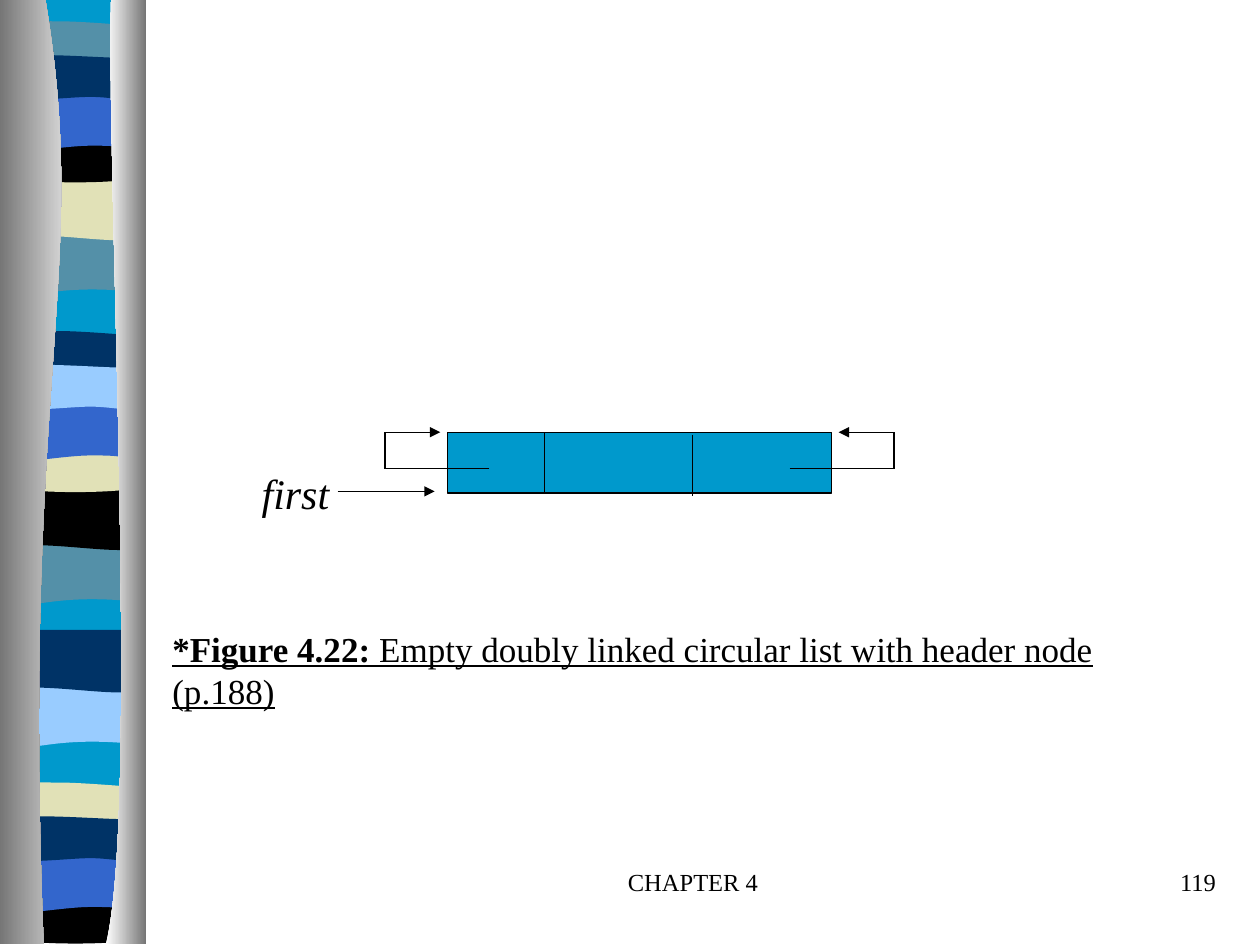
from dataclasses import dataclass

from lxml.etree import SubElement
from pptx import Presentation
from pptx.dml.color import RGBColor
from pptx.enum.shapes import MSO_CONNECTOR, MSO_SHAPE
from pptx.enum.text import PP_ALIGN
from pptx.oxml.ns import qn
from pptx.util import Pt


@dataclass(frozen=True)
class Theme:
    font: str = "Times New Roman"
    ink: str = "000000"
    teal: str = "0099CC"
    dusk: str = "5490A8"
    cream: str = "E1E1B7"
    blue: str = "3366CC"
    navy: str = "003366"
    sky: str = "99CCFF"
    dark: str = "767676"
    white: str = "FFFFFF"
    foot: int = 14
    body: int = 20
    label: int = 24
    rule: float = 0.75


T = Theme()
WIDE = 78  # width of a band

# Band outlines from the top right corner: pairs are lines, sixes are curves.
WAVES = {
    "swell": [(WIDE, 0), (WIDE, 34), (25, 28, 14, 39.6, 0, 34), (0, 0)],
    "dip": [(WIDE, 0), (WIDE, 34), (65, 39.6, 25, 30, 0, 34), (0, 0)],
    "arch": [(WIDE, 0), (WIDE, 17.3), (65, 20.5, 14, 20.5, 0, 17.3), (0, 0),
             (5, -3.6, 17, -2.9, 30, -2.9), (43, -2.9, 68, -0.7, WIDE, 0)],
    "sag": [(WIDE, 0), (WIDE, 23.3), (65, 27.4, 14, 27.4, 0, 23.3), (0, 0),
            (48, 3.6, 62, 0, WIDE, 0)],
    "hump": [(WIDE, 0), (WIDE, 34), (66, 30, 61, 30, 48, 30),
             (35, 30, 12, 34, 0, 34), (0, 0)],
    "ripple": [(WIDE, 0), (WIDE, 22.3), (73.5, 26, 61, 22.3, 48, 22.3),
               (35, 22.3, 9, 26, 0, 22.3), (0, 0),
               (11.5, -3.6, 53, 0, 66, 0), (79, 0, 76, 0, WIDE, 0)],
}
# Each wave, in drawing order, with its offset inside a block
TOPS = {"swell": 133.2, "dip": 101.5, "arch": 15.1,
        "sag": 77.8, "hump": 53.3, "ripple": 33.1}
# Each block: start of its two low waves, start of the rest, colours
BLOCKS = [
    (0, 0, (T.dusk, T.cream, T.dusk, T.ink, T.blue, T.navy)),
    (177, 177, (T.dusk, T.ink, T.navy, T.cream, T.blue, T.sky)),
    (258.4, 435, (T.sky, T.navy, T.cream, T.ink, T.blue, T.navy)),
]


def color(code):
    return RGBColor.from_string(code)


def bend(shape, path):
    """Join each three segments that stand for a curve into one cubic curve."""
    segs = iter(list(shape._element.iter(qn("a:lnTo"))))
    for part in path[1:]:
        first = next(segs)
        if len(part) == 6:
            first.tag = qn("a:cubicBezTo")
            for _ in range(2):
                seg = next(segs)
                first.append(seg[0])
                seg.getparent().remove(seg)


def outline(slide, path, fill, left=0, top=0):
    """Draw a filled outline; a pair of colours makes a gradient to the right."""
    points = [(Pt(left + part[i]), Pt(top + part[i + 1]))
              for part in path for i in range(0, len(part), 2)]
    pen = slide.shapes.build_freeform(*points[0], scale=1.0)
    pen.add_line_segments(points[1:], close=True)
    shape = pen.convert_to_shape()
    bend(shape, path)
    shape.shadow.inherit = False
    shape.line.fill.background()
    if isinstance(fill, str):
        shape.fill.solid()
        shape.fill.fore_color.rgb = color(fill)
    else:
        shape.fill.gradient()
        shape.fill.gradient_angle = 0
        for stop, code, place in zip(shape.fill.gradient_stops, fill, (0, 1)):
            stop.color.rgb = color(code)
            stop.position = place


def text(slide, box, *parts, size=T.body, align=PP_ALIGN.LEFT, **style):
    """Add one paragraph; a part is a string or a string with its own format."""
    frame = slide.shapes.add_textbox(*map(Pt, box)).text_frame
    frame.word_wrap = True
    para = frame.paragraphs[0]
    para.alignment = align
    for part in parts:
        words, extra = (part, {}) if isinstance(part, str) else part
        run = para.add_run()
        run.text = words
        run.font.name = T.font
        run.font.size = Pt(size)
        run.font.color.rgb = color(T.ink)
        for key, value in {**style, **extra}.items():
            setattr(run.font, key, value)


def line(slide, start, end, arrow=False):
    link = slide.shapes.add_connector(
        MSO_CONNECTOR.STRAIGHT, *map(Pt, (*start, *end)))
    link.line.color.rgb = color(T.ink)
    link.line.width = Pt(T.rule)
    if arrow:
        SubElement(link.line._get_or_add_ln(), qn("a:tailEnd"), type="triangle")
    SubElement(link._element.spPr, qn("a:effectLst"))


def border(slide, box):
    """Striped band between two curtains."""
    left, top, width, height = box
    edge = left + 3.7
    outline(slide, [(WIDE, 0), (WIDE, height - 1), (0, height - 1), (0, 0)],
            T.teal, edge, top)
    for low, rest, fills in BLOCKS:
        for (name, y), fill in zip(TOPS.items(), fills):
            start = low if name in ("swell", "dip") else rest
            outline(slide, WAVES[name], fill, edge, top + start + y)
    outline(slide, [(26, 0), (52, 156, 12, 213, 25, height), (0, height), (0, 0)],
            (T.dark, T.white), left, top)
    outline(slide, [(63.5, 0), (60.5, 90, 80, 465, 60.5, height),
                    (width, height), (width, 0)],
            (T.white, T.dark), left, top)


def loop(slide, edge, top, out):
    """Link from inside a node, around its edge and back; out is -1 or 1."""
    inner, outer, tip = (edge + out * step for step in (-24, 35.6, 4))
    mid = top + 20.8
    line(slide, (inner, mid), (outer, mid))
    line(slide, (outer, mid), (outer, top))
    line(slide, (outer, top), (tip, top), arrow=True)


def node(slide, box):
    """Header node with three fields, its two loops and the first pointer."""
    left, top, width, height = box
    rect = slide.shapes.add_shape(MSO_SHAPE.RECTANGLE, *map(Pt, box))
    rect.shadow.inherit = False
    rect.fill.solid()
    rect.fill.fore_color.rgb = color(T.teal)
    rect.line.color.rgb = color(T.ink)
    rect.line.width = Pt(T.rule)
    for x, drop in ((55.4, 0), (140.2, 1.4)):
        line(slide, (left + x, top + drop), (left + x, top + drop + height))
    loop(slide, left + width, top, 1)
    loop(slide, left, top, -1)
    base = top + height - 1
    line(slide, (left - 62.6, base), (left - 7.2, base), arrow=True)
    text(slide, (left - 113.2, top + 16.5, 60, 36), "first",
         size=T.label, italic=True)


def footer(slide, box):
    left, top, width, height = box
    text(slide, (left, top, 228, height), "CHAPTER 4",
         size=T.foot, align=PP_ALIGN.CENTER)
    text(slide, (left + width - 150, top, 150, height), "119",
         size=T.foot, align=PP_ALIGN.RIGHT)


def main():
    deck = Presentation()
    deck.slide_width, deck.slide_height = Pt(720), Pt(540)
    slide = deck.slides.add_slide(deck.slide_layouts[6])
    border(slide, (0, 0, 83.5, 539.5))
    footer(slide, (282, 492, 420, 36))
    node(slide, (255.6, 247, 219.6, 34.8))
    text(slide, (91.4, 355, 600, 31.7), ("*Figure 4.22: ", {"bold": True}),
         "Empty doubly linked circular list with header node (p.188)",
         underline=True)
    deck.save("out.pptx")


if __name__ == "__main__":
    main()
